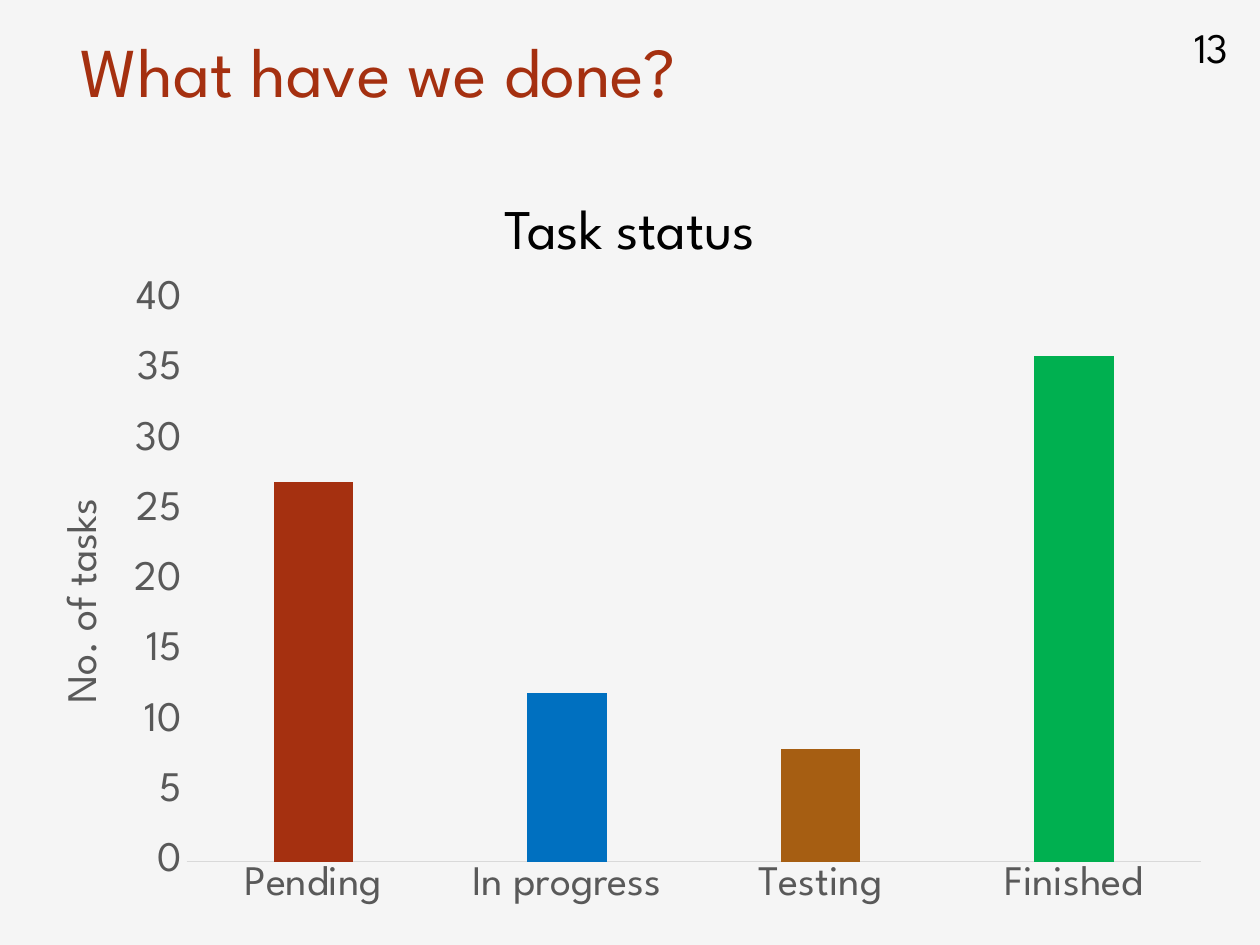
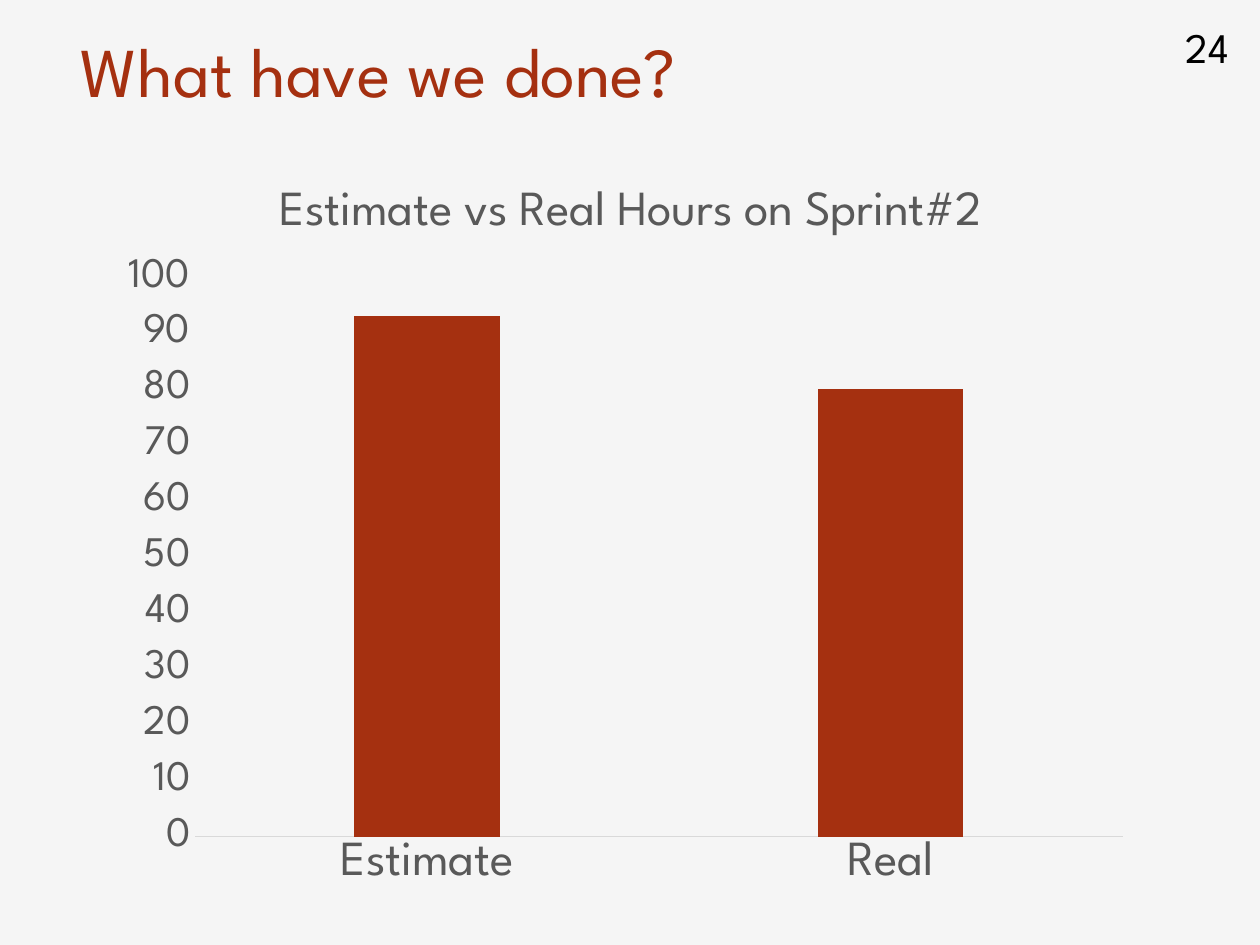
from dataclasses import dataclass

from lxml import etree
from pptx import Presentation
from pptx.chart.data import CategoryChartData
from pptx.dml.color import RGBColor
from pptx.enum.chart import XL_CHART_TYPE, XL_TICK_MARK
from pptx.enum.text import MSO_ANCHOR, MSO_AUTO_SIZE, PP_ALIGN
from pptx.oxml.ns import qn
from pptx.util import Inches, Pt

COLUMNS = XL_CHART_TYPE.COLUMN_CLUSTERED
NO_TICK = XL_TICK_MARK.NONE
TOP, MIDDLE = MSO_ANCHOR.TOP, MSO_ANCHOR.MIDDLE
LEFT, CENTER, RIGHT = PP_ALIGN.LEFT, PP_ALIGN.CENTER, PP_ALIGN.RIGHT
NO_FIT = MSO_AUTO_SIZE.NONE


@dataclass(frozen=True)
class Theme:
    font: str = "League Spartan"
    background: str = "F5F5F5"
    accent: str = "A53010"
    text: str = "000000"
    muted: str = "595959"
    axis_line: str = "D9D9D9"
    blue: str = "0070C0"
    brown: str = "A65E12"
    green: str = "00B050"
    title_size: int = 40
    heading_size: int = 32
    large_size: int = 28
    body_size: int = 24


THEME = Theme()


def rgb(value):
    return RGBColor.from_string(value)


def style_font(font, size, color):
    formats = {"name": THEME.font, "size": Pt(size), "bold": False}
    for name, value in formats.items():
        setattr(font, name, value)
    font.color.rgb = rgb(color)


def write_text(tf, text, size, color, align=LEFT, anchor=TOP, wrap=True):
    formats = {"word_wrap": wrap, "auto_size": NO_FIT, "vertical_anchor": anchor}
    for name, value in formats.items():
        setattr(tf, name, value)
    p = tf.paragraphs[0]
    p.alignment = align
    r = p.add_run()
    r.text = text
    style_font(r.font, size, color)


def add_text(s, box, text, size, color, **formats):
    sp = s.shapes.add_textbox(*map(Inches, box))
    write_text(sp.text_frame, text, size, color, **formats)


def add_base_slide(prs, number, title_box):
    """Slide with the shared title and page number."""
    s = prs.slides.add_slide(prs.slide_layouts[5])
    title = s.shapes.title
    title.left, title.top, title.width, title.height = map(Inches, title_box)
    write_text(title.text_frame, "What have we done?", THEME.title_size, THEME.accent)
    add_text(s, (8.82, 0.17, 1.03, 0.4), number, THEME.body_size, THEME.text,
             align=RIGHT, anchor=MIDDLE)
    return s


def place_in_chart(element, index, chart_box, place):
    """Fix a chart part at a place in inches from the chart's corner."""
    for old in element.findall(qn("c:layout")):
        element.remove(old)
    layout = etree.Element(qn("c:layout"))
    manual = etree.SubElement(layout, qn("c:manualLayout"))
    values = {"xMode": "edge", "yMode": "edge"}
    if len(place) == 4:
        values = {"layoutTarget": "inner", **values}
    for key, length, total in zip("xywh", place, chart_box[2:] * 2):
        values[key] = f"{length / total:.4f}"
    for key, value in values.items():
        etree.SubElement(manual, qn(f"c:{key}"), val=value)
    element.insert(index, layout)


def write_chart_title(title, element, text, size, chart_box, place):
    p = title.text_frame.paragraphs[0]
    r = p.add_run()
    r.text = text
    style_font(r.font, size, THEME.muted)
    place_in_chart(element, 1, chart_box, place)


def add_column_chart(s, box, plot, values, top, step, category_size,
                     point_colors=()):
    data = CategoryChartData()
    data.categories = list(values)
    data.add_series("Series 1", list(values.values()))
    chart = s.shapes.add_chart(COLUMNS, *map(Inches, box), data).chart
    chart.has_legend = False
    chart.has_title = False
    style_font(chart.font, 10, THEME.text)

    # Columns
    columns = chart.plots[0]
    for name, value in {"gap_width": 219, "overlap": -27,
                        "vary_by_categories": False}.items():
        setattr(columns, name, value)
    series = columns.series[0]
    series.format.fill.solid()
    series.format.fill.fore_color.rgb = rgb(THEME.accent)
    for i, color in enumerate(point_colors):
        fill = series.points[i].format.fill
        fill.solid()
        fill.fore_color.rgb = rgb(color)

    # Axes
    cat_axis, val_axis = chart.category_axis, chart.value_axis
    for axis, size in ((cat_axis, category_size), (val_axis, THEME.body_size)):
        for name, value in {"major_tick_mark": NO_TICK, "minor_tick_mark": NO_TICK,
                            "has_major_gridlines": False}.items():
            setattr(axis, name, value)
        style_font(axis.tick_labels.font, size, THEME.muted)
    cat_axis.format.line.color.rgb = rgb(THEME.axis_line)
    cat_axis.format.line.width = Pt(0.75)
    val_axis.format.line.fill.background()
    for name, value in {"minimum_scale": 0, "maximum_scale": top,
                        "major_unit": step}.items():
        setattr(val_axis, name, value)

    plot_area = chart.element.find(".//" + qn("c:plotArea"))
    place_in_chart(plot_area, 0, box, plot)
    return chart


def add_task_status_slide(prs):
    s = add_base_slide(prs, "13", (0.54, 0.17, 6.86, 0.77))
    add_text(s, (3.77, 1.49, 2.46, 0.64), "Task status", THEME.heading_size,
             THEME.text, align=CENTER, wrap=False)
    box = (0.19, 2.13, 9.53, 5.16)
    tasks = {"Pending": 27, "In progress": 12, "Testing": 8, "Finished": 36}
    chart = add_column_chart(
        s, box, (1.29, 0.25, 8.05, 4.46), tasks, 40, 5, THEME.body_size,
        (THEME.accent, THEME.blue, THEME.brown, THEME.green))

    # Upright axis title
    title = chart.value_axis.axis_title
    element = chart.element.find(f".//{qn('c:valAx')}/{qn('c:title')}")
    write_chart_title(title, element, "No. of tasks", THEME.body_size, box, (0.25, 1.77))
    body = element.find(".//" + qn("a:bodyPr"))
    body.set("rot", "-5400000")
    body.set("vert", "horz")


def add_hours_slide(prs):
    s = add_base_slide(prs, "24", (0.54, 0.17, 7.88, 0.77))
    box = (0.85, 1.18, 8.22, 5.97)
    chart = add_column_chart(s, box, (0.7, 1.02, 7.36, 4.44),
                             {"Estimate": 93, "Real": 80}, 100, 10, THEME.large_size)
    chart.has_title = True
    element = chart.element.find(f"{qn('c:chart')}/{qn('c:title')}")
    write_chart_title(chart.chart_title, element, "Estimate vs Real Hours on Sprint#2",
                      THEME.large_size, box, (1.3, 0.22))


def main():
    prs = Presentation()
    prs.slide_width, prs.slide_height = Inches(10), Inches(7.5)
    fill = prs.slide_master.background.fill
    fill.solid()
    fill.fore_color.rgb = rgb(THEME.background)
    add_task_status_slide(prs)
    add_hours_slide(prs)
    prs.save("out.pptx")


if __name__ == "__main__":
    main()
